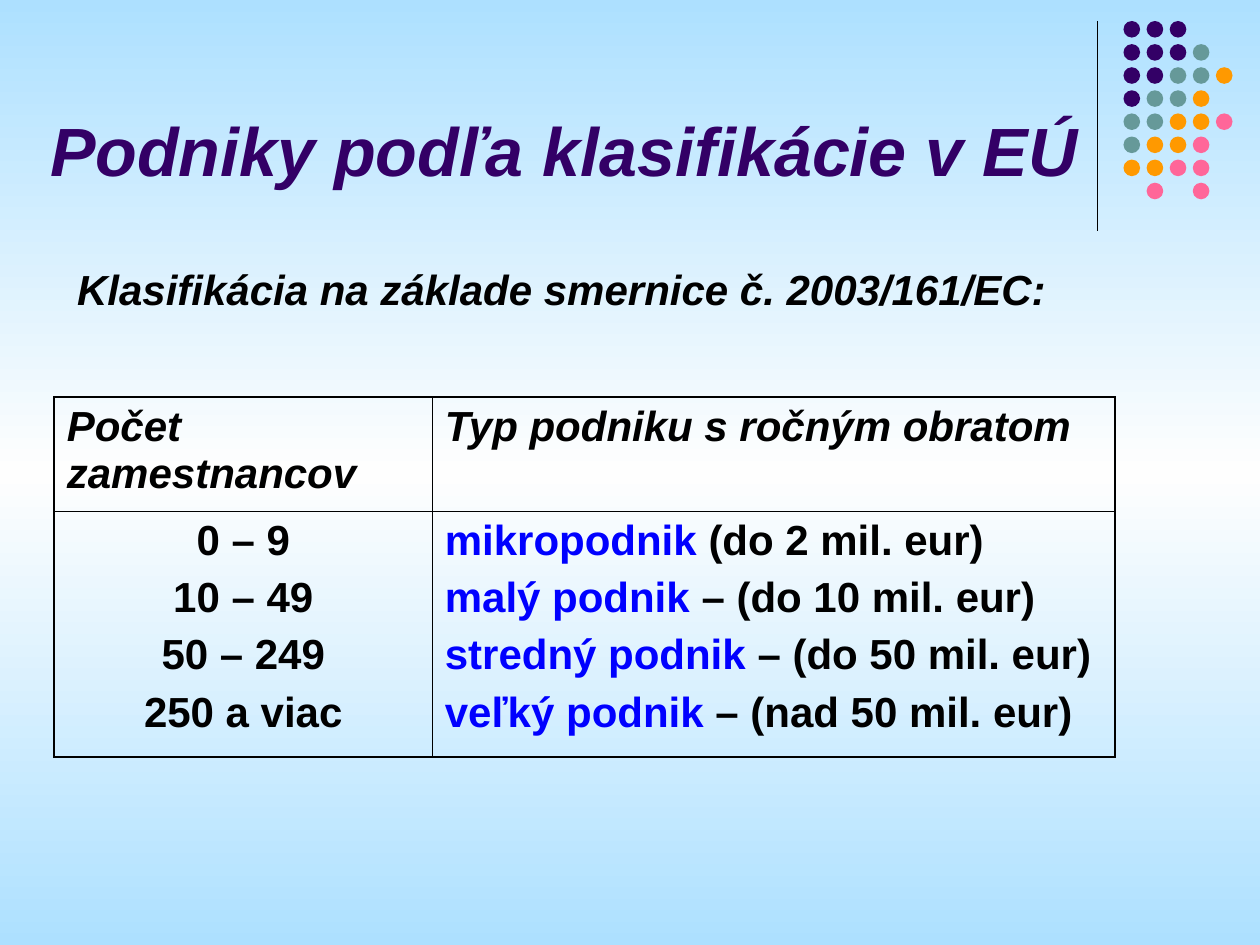
from lxml.etree import SubElement
from pptx import Presentation
from pptx.dml.color import RGBColor
from pptx.enum.shapes import MSO_CONNECTOR, MSO_SHAPE
from pptx.enum.text import MSO_ANCHOR, PP_ALIGN
from pptx.oxml.ns import qn
from pptx.util import Pt

BLACK, PURPLE, BLUE, SKY = "000000", "330066", "0000FF", "ADE0FF"
DOT_COLORS = {"P": PURPLE, "T": "669999", "O": "FF9900", "K": "FF6699"}
DOT_ROWS = ["PPP", "PPPT", "PPTTO", "PTTO", "TTOOK", "TOOK", "OOKK", " K K"]
HEADERS = ["Počet zamestnancov", "Typ podniku s ročným obratom"]
COMPANIES = [
    ("0 – 9", "mikropodnik", " (do 2 mil. eur)"),
    ("10 – 49", "malý podnik", " – (do 10 mil. eur)"),
    ("50 – 249", "stredný podnik", " – (do 50 mil. eur)"),
    ("250 a viac", "veľký podnik", " – (nad 50 mil. eur)"),
]


def rgb(color):
    """Turn a hex string into a colour."""
    return RGBColor.from_string(color)


def add_run(p, text, size=24, color=BLACK, italic=False):
    """Add one bold Arial run to a paragraph."""
    r = p.add_run()
    r.text = text
    f = r.font
    f.name, f.size, f.bold, f.italic = "Arial", Pt(size), True, italic
    f.color.rgb = rgb(color)


def paint_background(s):
    """Fill the slide with a vertical sky-white-sky gradient."""
    fill = s.background.fill
    fill.gradient()
    fill.gradient_angle = 270
    stops = fill.gradient_stops
    stops[0].color.rgb = stops[1].color.rgb = rgb(SKY)
    stops[0].position, stops[1].position = 0, 1
    gs_list = s.background._cSld.find(".//" + qn("a:gsLst"))
    middle = SubElement(gs_list, qn("a:gs"), pos="50000")
    SubElement(middle, qn("a:srgbClr"), val="FEFEFE")
    gs_list.insert(1, middle)


def add_ornament(s, left, top, height):
    """Draw the vertical rule and the grid of dots beside it."""
    rule = s.shapes.add_connector(
        MSO_CONNECTOR.STRAIGHT, Pt(left), Pt(top), Pt(left), Pt(top + height))
    rule.line.color.rgb = rgb(BLACK)
    rule.line.width = Pt(0.75)
    SubElement(rule._element.spPr, qn("a:effectLst"))
    size, pitch, gap = 9.5, 13.2, 15
    dots = s.shapes.add_group_shape()
    for row, codes in enumerate(DOT_ROWS):
        for col, code in enumerate(codes):
            if code == " ":
                continue
            dot = dots.shapes.add_shape(
                MSO_SHAPE.OVAL, Pt(left + gap + col * pitch),
                Pt(top + row * pitch), Pt(size), Pt(size))
            dot.shadow.inherit = False
            dot.fill.solid()
            dot.fill.fore_color.rgb = rgb(DOT_COLORS[code])
            dot.line.fill.background()


def add_text(s, left, top, width, height, text, size, color, anchor):
    """Place one italic line of text and return its paragraph."""
    tf = s.shapes.add_textbox(Pt(left), Pt(top), Pt(width), Pt(height)).text_frame
    tf.word_wrap = True
    tf.vertical_anchor = anchor
    p = tf.paragraphs[0]
    add_run(p, text, size, color, True)
    return p


def set_borders(cell, widths):
    """Draw black cell borders with the given width for each side."""
    tc_pr = cell._tc.get_or_add_tcPr()
    for i, (side, width) in enumerate(widths.items()):
        ln = SubElement(tc_pr, qn("a:ln" + side), w=str(Pt(width)))
        fill = SubElement(ln, qn("a:solidFill"))
        SubElement(fill, qn("a:srgbClr"), val=BLACK)
        tc_pr.insert(i, ln)


def add_company_table(s, left, top, col_widths, row_heights):
    """Build the table of staff numbers and company types."""
    table = s.shapes.add_table(
        2, 2, Pt(left), Pt(top), Pt(sum(col_widths)), Pt(sum(row_heights))).table
    table.first_row = table.horz_banding = False
    for column, width in zip(table.columns, col_widths):
        column.width = Pt(width)
    for row, height in zip(table.rows, row_heights):
        row.height = Pt(height)
    for col, header in enumerate(HEADERS):
        add_run(table.cell(0, col).text_frame.paragraphs[0], header, italic=True)
    staff, kinds = (table.cell(1, col).text_frame for col in range(2))
    for i, (count, kind, turnover) in enumerate(COMPANIES):
        p, q = (tf.add_paragraph() if i else tf.paragraphs[0] for tf in (staff, kinds))
        p.alignment = PP_ALIGN.CENTER
        add_run(p, count)
        add_run(q, kind, color=BLUE)
        add_run(q, turnover)
    outer, inner = 1.08, 0.45
    for row in range(2):
        for col in range(2):
            cell = table.cell(row, col)
            cell.fill.background()
            set_borders(cell, {
                "L": inner if col else outer, "R": outer if col else inner,
                "T": inner if row else outer, "B": outer if row else inner})
            for p in cell.text_frame.paragraphs:
                p.space_before = Pt(6)


def main():
    """Build and save the slide."""
    prs = Presentation()
    prs.slide_width, prs.slide_height = Pt(720), Pt(540)
    s = prs.slides.add_slide(prs.slide_layouts[6])
    paint_background(s)
    add_ornament(s, 627, 12, 120)
    add_text(s, 21.5, 47, 608.5, 65, "Podniky podľa klasifikácie v EÚ",
             39, PURPLE, MSO_ANCHOR.BOTTOM)
    p = add_text(s, 37, 144, 602.5, 39,
                 "Klasifikácia na základe smernice č. 2003/161/EC:",
                 24, BLACK, MSO_ANCHOR.TOP)
    p.line_spacing = 1.1
    p.space_before = Pt(15)
    add_company_table(s, 31, 227, (216, 390), (65, 140.5))
    prs.save("out.pptx")


if __name__ == "__main__":
    main()
